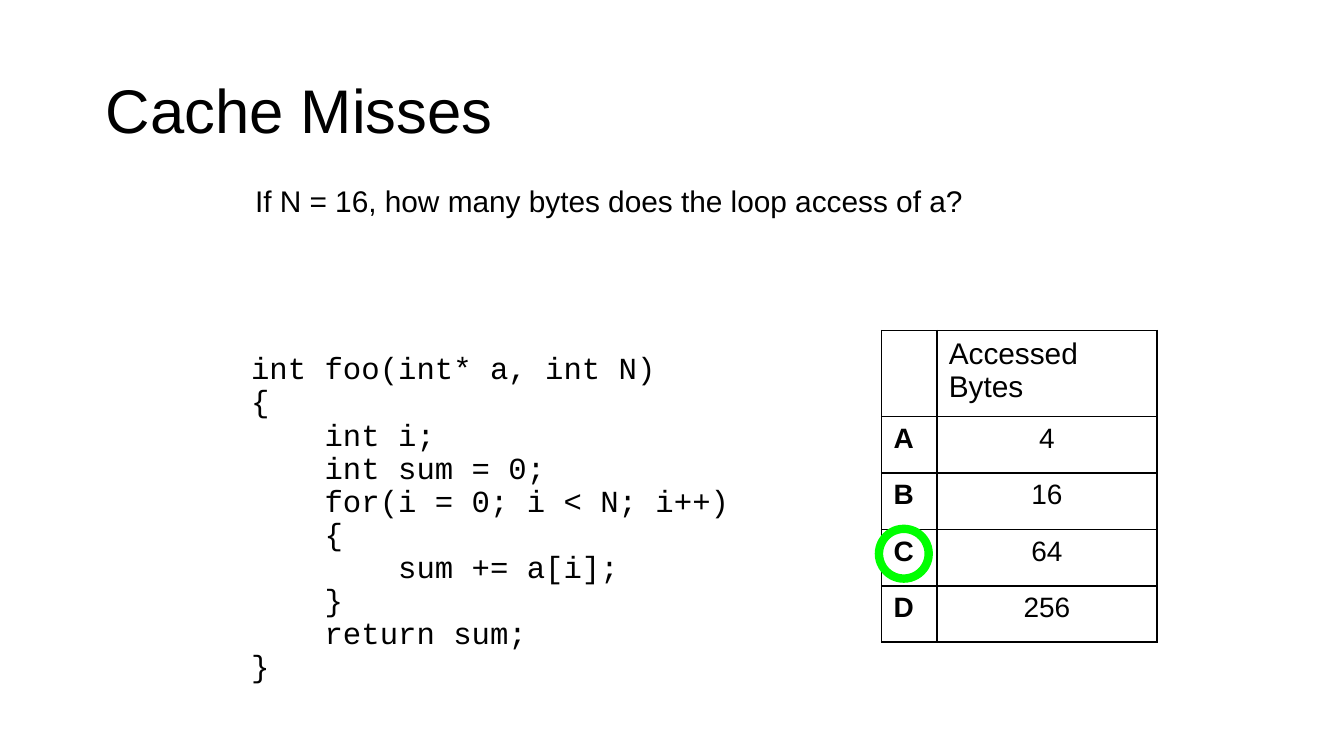
from lxml.etree import SubElement
from pptx import Presentation
from pptx.dml.color import RGBColor
from pptx.enum.shapes import MSO_SHAPE
from pptx.enum.text import MSO_ANCHOR, PP_ALIGN
from pptx.oxml.ns import qn
from pptx.util import Inches, Pt

BLACK = RGBColor(0x00, 0x00, 0x00)
GREEN = RGBColor(0x00, 0xFF, 0x00)
UNIT = Inches(0.1)  # one column or row of the slide's grid
COLS = 100
ROWS = COLS * 9 / 16

SANS = {"name": "Arial", "size": Pt(16), "bold": False}
HEAD = SANS | {"size": Pt(33)}
MONO = SANS | {"name": "Courier New", "size": Pt(16.4)}
CELL = SANS | {"size": Pt(15)}
MARK = CELL | {"bold": True}
TIGHT = {"line_spacing": 0.9, "alignment": PP_ALIGN.LEFT}

CODE = """int foo(int* a, int N)
{
    int i;
    int sum = 0;
    for(i = 0; i < N; i++)
    {
        sum += a[i];
    }
    return sum;
}"""
BYTES = {"A": "4", "B": "16", "C": "64", "D": "256"}
RIGHT = "C"


def span(*box):
    """Turn grid units into slide lengths."""
    return [int(UNIT * n) for n in box]


def write(frame, text, font, para=None):
    frame.text = text
    for line in frame.paragraphs:
        for key, value in (para or {}).items():
            setattr(line, key, value)
        for key, value in font.items():
            setattr(line.font, key, value)
        line.font.color.rgb = BLACK


def add_title(slide, box):
    title = slide.shapes.title
    title.left, title.top, title.width, title.height = span(*box)
    title.text_frame.vertical_anchor = MSO_ANCHOR.MIDDLE
    write(title.text_frame, "Cache Misses", HEAD, TIGHT)


def add_text(slide, box, text, font, para=None, wrap=True):
    frame = slide.shapes.add_textbox(*span(*box)).text_frame
    frame.word_wrap = wrap
    write(frame, text, font, para)


def frame_cell(cell):
    """Give a cell thin black edges and no fill."""
    props = cell._tc.get_or_add_tcPr()
    for side in ("a:lnL", "a:lnR", "a:lnT", "a:lnB"):
        edge = SubElement(props, qn(side), w=str(Pt(1)))
        fill = SubElement(edge, qn("a:solidFill"))
        SubElement(fill, qn("a:srgbClr"), val=str(BLACK))
    cell.fill.background()
    cell.margin_left = cell.margin_right = Inches(0.09)
    cell.margin_top = cell.margin_bottom = Inches(0.05)


def add_choices(slide, box):
    """Place the answer table and ring the right answer."""
    left, top, width, height = box
    key, head = 0.2 * width, 6.4
    step = (height - head) / len(BYTES)
    table = slide.shapes.add_table(len(BYTES) + 1, 2, *span(*box)).table
    table.first_row = table.horz_banding = False
    for col, size in zip(table.columns, span(key, width - key)):
        col.width = size
    for row, size in zip(table.rows, span(head, *[step] * len(BYTES))):
        row.height = size
    for cell in table.iter_cells():
        frame_cell(cell)

    write(table.cell(0, 1).text_frame, "Accessed Bytes", SANS)
    for row, (name, count) in enumerate(BYTES.items(), 1):
        write(table.cell(row, 0).text_frame, name, MARK)
        write(table.cell(row, 1).text_frame, count, CELL,
              {"alignment": PP_ALIGN.CENTER})

    size = 3.7
    mid = top + head + step * (list(BYTES).index(RIGHT) + 0.43)
    ring = slide.shapes.add_shape(
        MSO_SHAPE.OVAL, *span(left - 0.2, mid - size / 2, size, size))
    ring.shadow.inherit = False
    ring.fill.background()
    ring.line.color.rgb = GREEN
    ring.line.width = Pt(4.5)


def main():
    deck = Presentation()
    deck.slide_width, deck.slide_height = span(COLS, ROWS)
    slide = deck.slides.add_slide(deck.slide_layouts[5])
    add_text(slide, (17.7, 25.8, 41.4, 24.8), CODE, MONO, TIGHT)
    add_title(slide, (6.88, 3, 86.25, 10.9))
    add_choices(slide, (65.6, 24.6, 20.5, 23.2))
    add_text(slide, (18, 13.1, 54.8, 3.6),
             "If N = 16, how many bytes does the loop access of a?",
             SANS, wrap=False)
    deck.save("out.pptx")


if __name__ == "__main__":
    main()
